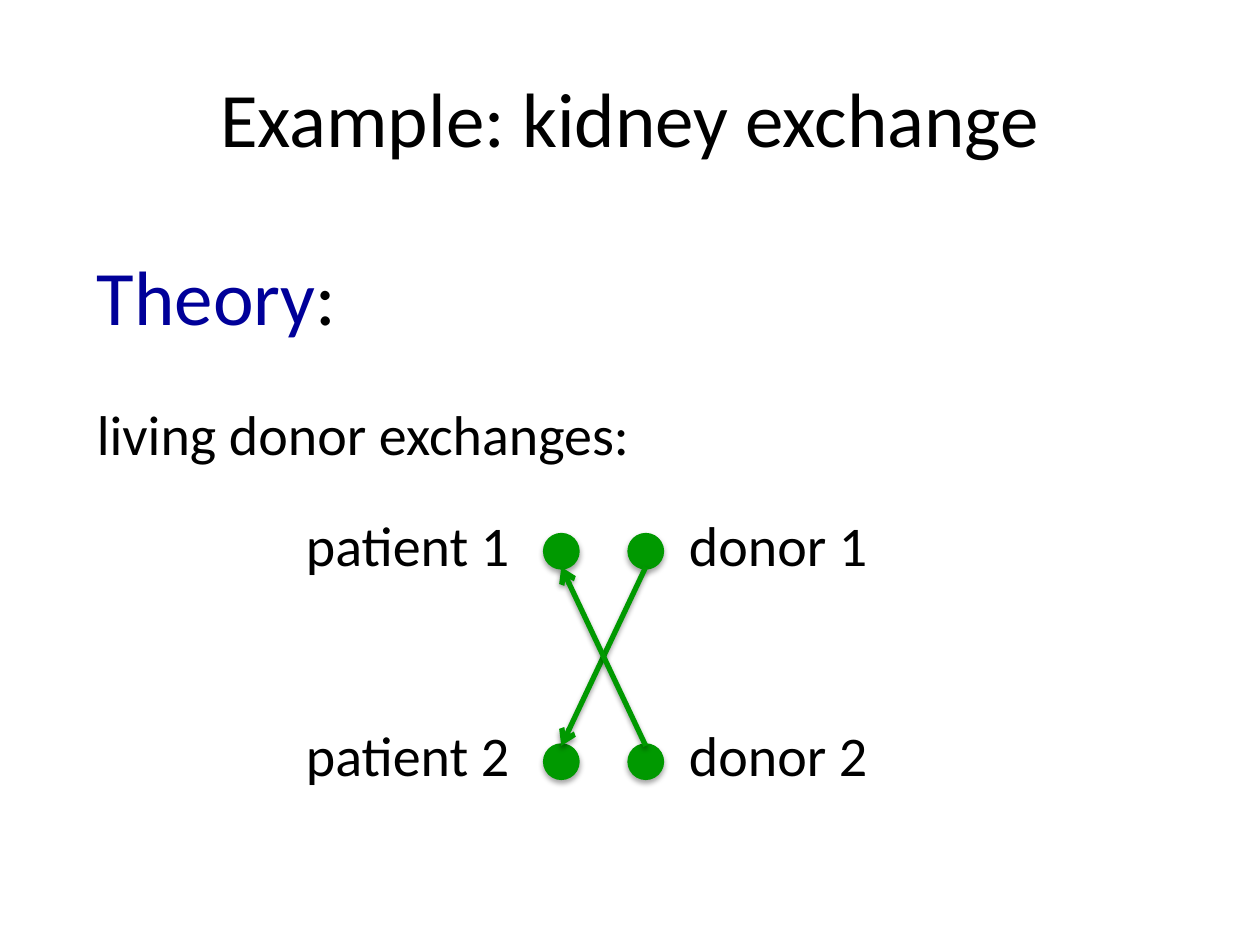
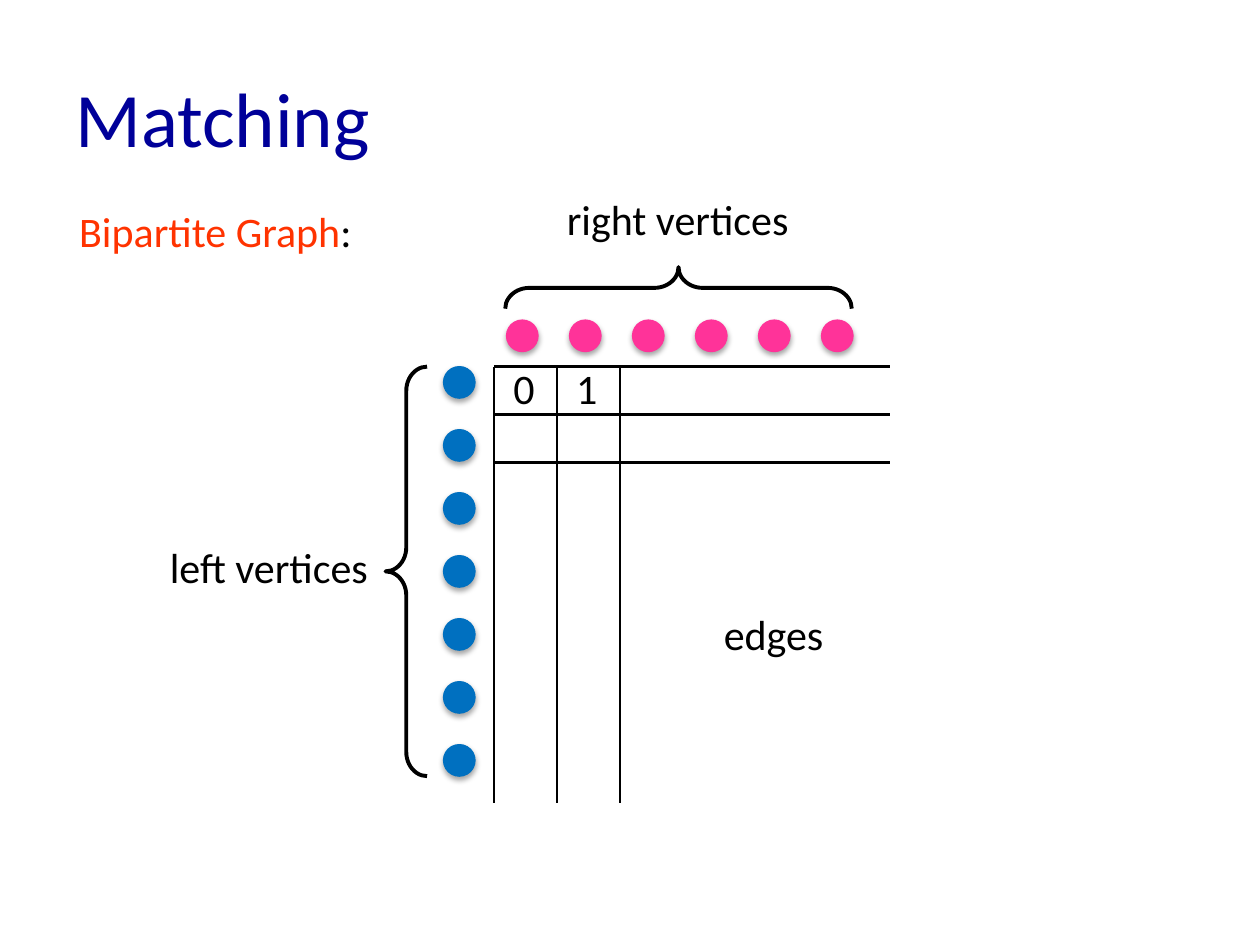
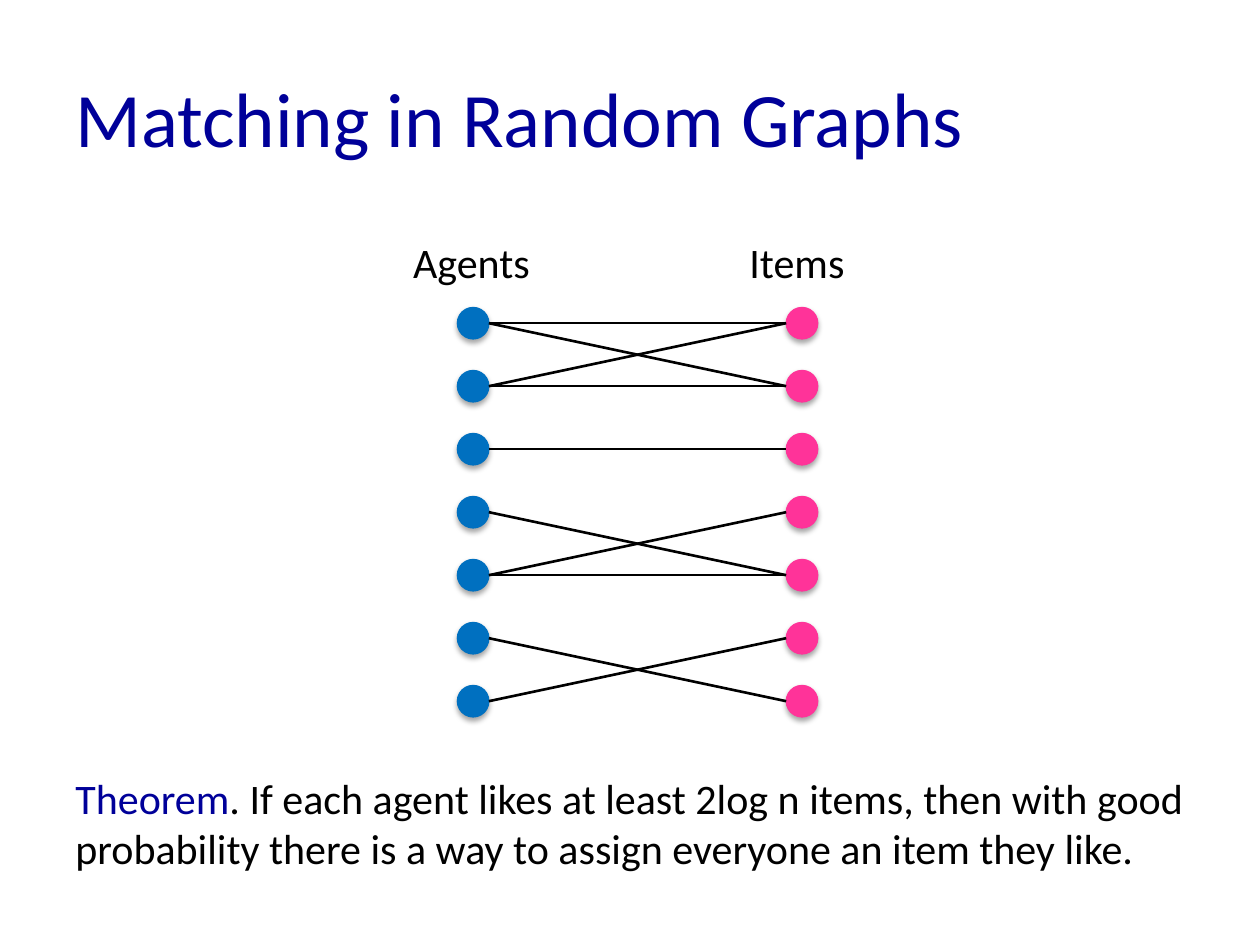
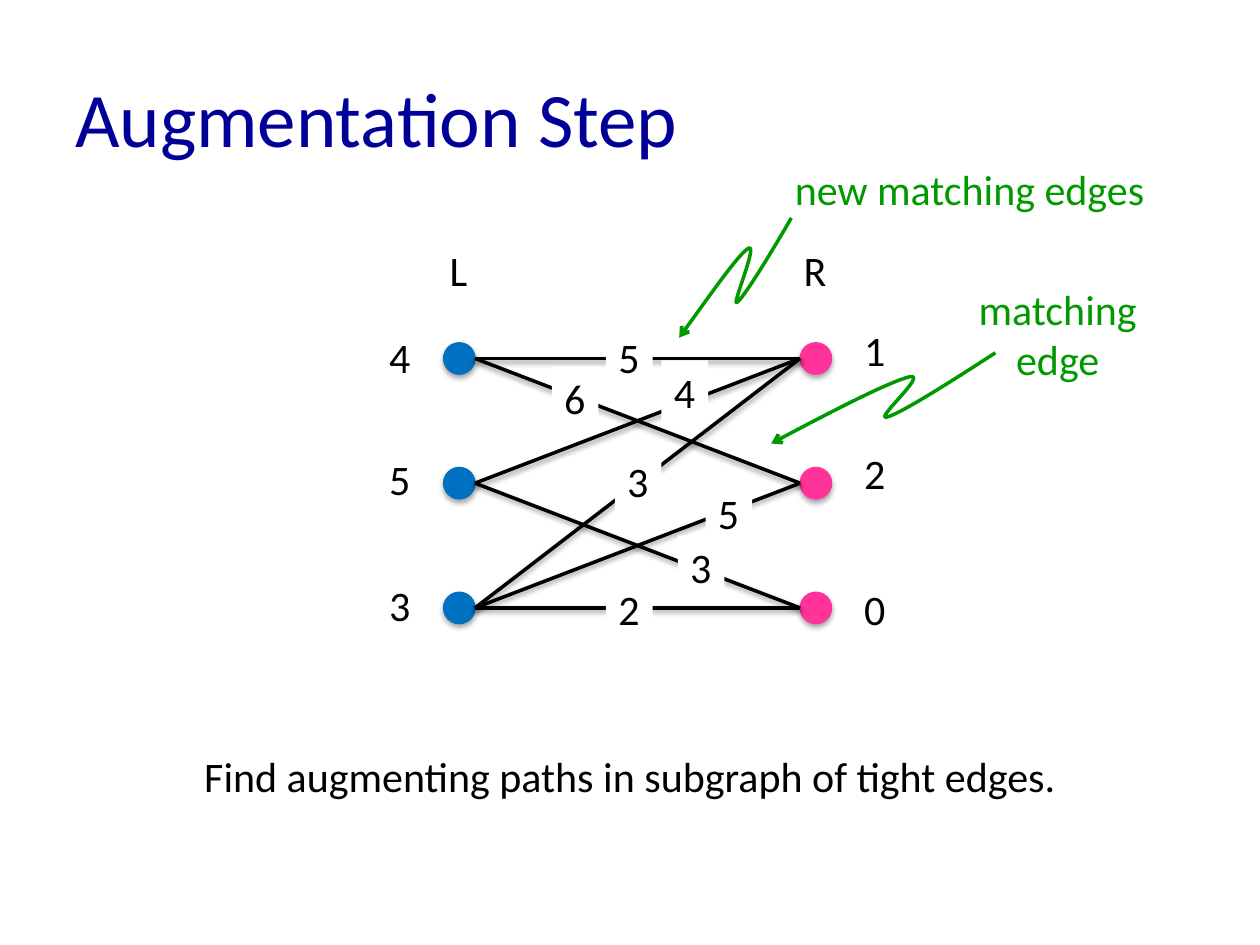
import lxml.etree
import pptx
import pptx.dml.color
import pptx.enum.shapes
import pptx.enum.text
import pptx.oxml.ns
import pptx.util

COLOURS = {
    "ink": "000000",
    "paper": "FFFFFF",
    "heading": "000099",
    "highlight": "FF3300",
    "exchange": "009900",
    "left": "0070C0",
    "right": "FF3399",
}
FONT = "Calibri"
DOT = 0.5
DOT_SHADOW = (35, 1.8)
EDGE_SHADOW = (38, 1.6)
OVAL = pptx.enum.shapes.MSO_SHAPE.OVAL
BRACE = pptx.enum.shapes.MSO_SHAPE.LEFT_BRACE
CENTER = pptx.enum.text.PP_ALIGN.CENTER
LEFT = pptx.enum.text.PP_ALIGN.LEFT
qn = pptx.oxml.ns.qn

deck = pptx.Presentation()
deck.slide_width = pptx.util.Inches(10)
deck.slide_height = pptx.util.Inches(7.5)
cell = deck.slide_width // 20


def write(slide, box, runs, size=24, align=LEFT, wrap=False, fill=None, middle=False):
    label = slide.shapes.add_textbox(*[int(cell * length) for length in box])
    if fill:
        label.fill.solid()
        label.fill.fore_color.rgb = pptx.dml.color.RGBColor.from_string(COLOURS[fill])
    frame = label.text_frame
    frame.word_wrap = wrap
    if middle:
        frame.vertical_anchor = pptx.enum.text.MSO_ANCHOR.MIDDLE
    paragraph = frame.paragraphs[0]
    paragraph.alignment = align
    paragraph.font.name = FONT
    paragraph.font.size = pptx.util.Pt(size)
    for words, colour in runs:
        run = paragraph.add_run()
        run.text = words
        font = paragraph.font if len(runs) == 1 else run.font
        font.color.rgb = pptx.dml.color.RGBColor.from_string(COLOURS[colour])


def draw(slide, outline, lengths, colour, width, fill=None, shadow=None, arrow=False):
    emu = [int(cell * length) for length in lengths]
    if outline == "line":
        straight = pptx.enum.shapes.MSO_CONNECTOR.STRAIGHT
        shape = slide.shapes.add_connector(straight, *emu)
    elif outline == "curve":
        points = list(zip(emu[::2], emu[1::2]))
        builder = slide.shapes.build_freeform(*points[0])
        builder.add_line_segments(points[1:], close=False)
        shape = builder.convert_to_shape()
        route = shape._element.find(".//" + qn("a:path"))
        steps = route.findall(qn("a:lnTo"))
        for first in range(0, len(steps), 3):
            bend = lxml.etree.SubElement(route, qn("a:cubicBezTo"))
            for step in steps[first:first + 3]:
                bend.append(step[0])
                route.remove(step)
    else:
        shape = slide.shapes.add_shape(outline, *emu)
    if fill:
        shape.fill.solid()
        shape.fill.fore_color.rgb = pptx.dml.color.RGBColor.from_string(COLOURS[fill])
    elif outline != "line":
        shape.fill.background()
    shape.line.color.rgb = pptx.dml.color.RGBColor.from_string(COLOURS[colour])
    shape.line.width = pptx.util.Pt(width)
    properties = shape._element.spPr
    if arrow:
        lxml.etree.SubElement(properties.find(qn("a:ln")), qn("a:tailEnd"), type="arrow")
    effects = lxml.etree.SubElement(properties, qn("a:effectLst"))
    if shadow:
        opacity, distance = shadow
        outer = lxml.etree.SubElement(
            effects, qn("a:outerShdw"), blurRad=str(pptx.util.Pt(3.1)),
            dist=str(pptx.util.Pt(distance)), dir="5400000", rotWithShape="0")
        tint = lxml.etree.SubElement(outer, qn("a:srgbClr"), val=COLOURS["ink"])
        lxml.etree.SubElement(tint, qn("a:alpha"), val=str(opacity * 1000))
    return shape


titles = [
    ("Example: kidney exchange", "ink", CENTER),
    ("Matching", "heading", LEFT),
    ("Matching in Random Graphs", "heading", LEFT),
    ("Augmentation Step", "heading", LEFT),
]
slides = []
for title, colour, align in titles:
    slide = deck.slides.add_slide(deck.slide_layouts[6])
    write(slide, (1, 0.6, 18, 2.5), [(title, colour)], 44, align, True, middle=True)
    slides.append(slide)
kidney, matching, random_graphs, augmentation = slides

write(kidney, (1.34, 3.84, 4.24, 1.68), [("Theory", "heading"), (":", "ink")], 44)
write(kidney, (1.34, 6.24, 17.66, 1.28), [("living donor exchanges:", "ink")], 32, wrap=True)
patient_column, donor_column = 8.66, 10
pair_rows = [8.5, 11.84]
for number, row in enumerate(pair_rows, 1):
    for column in (patient_column, donor_column):
        draw(kidney, OVAL, (column, row, DOT, DOT), "exchange", 3, "exchange", DOT_SHADOW)
    write(kidney, (4.66, row - 0.5, 3.68, 1.28), [(f"patient {number}", "ink")], 32)
    write(kidney, (10.74, row - 0.5, 3.26, 1.28), [(f"donor {number}", "ink")], 32)
upper, lower = pair_rows[0] + DOT, pair_rows[1]
for start, end in ((upper, lower), (lower, upper)):
    draw(kidney, "line", (donor_column + DOT / 2, start, patient_column + DOT / 2, end),
         "exchange", 3, shadow=EDGE_SHADOW, arrow=True)

matrix_left, matrix_top = 7.84, 5.82
for row in range(7):
    draw(matching, OVAL, (7.04, matrix_top + row, DOT, DOT), "left", 0.75, "left", DOT_SHADOW)
for column in range(6):
    draw(matching, OVAL, (8.04 + column, 5.08, DOT, DOT), "right", 0.75, "right", DOT_SHADOW)
for box, turn in (((6.12, matrix_top, 0.66, 6.5), 0), ((10.44, 1.82, 0.66, 5.5), 90)):
    brace = draw(matching, BRACE, box, "ink", 2.25)
    brace.adjustments[0] = 0.58
    brace.rotation = turn
for step in range(3):
    x, y = matrix_left + step, matrix_top + 0.76 * step
    draw(matching, "line", (x, matrix_top, x, 12.75), "ink", 1.5)
    draw(matching, "line", (matrix_left, y, 14.12, y), "ink", 1.5)
for column, entry in enumerate("01"):
    write(matching, (7.95 + column, 5.66, 0.76, 1), [(entry, "ink")], wrap=True)
write(matching, (2.5, 8.5, 3.6, 1), [("left vertices", "ink")])
write(matching, (8.8, 2.98, 3.96, 1), [("right vertices", "ink")])
write(matching, (11.28, 9.56, 2, 1), [("edges", "ink")], align=CENTER)
write(matching, (1.06, 3.16, 4.78, 1), [("Bipartite Graph", "highlight"), (":", "ink")])

agent_column, item_column, first_row = 7.26, 12.48, 4.88
for side, column in (("left", agent_column), ("right", item_column)):
    for row in range(7):
        draw(random_graphs, OVAL, (column, first_row + row, DOT, DOT),
             side, 0.75, side, DOT_SHADOW)
likes = [(0, 0), (0, 1), (1, 0), (1, 1), (2, 2), (3, 4), (4, 3), (4, 4), (5, 6), (6, 5)]
for agent, item in likes:
    draw(random_graphs, "line",
         (agent_column + DOT, first_row + DOT / 2 + agent,
          item_column, first_row + DOT / 2 + item), "ink", 1.5)
write(random_graphs, (6.36, 3.66, 2.28, 1), [("Agents", "ink")])
write(random_graphs, (11.7, 3.66, 1.92, 1), [("Items", "ink")])
write(random_graphs, (1, 12.16, 18, 1.82), [
    ("Theorem", "heading"),
    (". If each agent likes at least 2log n items, then with good probability "
     "there is a way to assign everyone an item they like.", "ink"),
], wrap=True)

left_column, right_column, first_row, pitch = 7.04, 12.7, 5.44, 1.98
for side, column in (("left", left_column), ("right", right_column)):
    for row in range(3):
        draw(augmentation, OVAL, (column, first_row + pitch * row, DOT, DOT),
             side, 0.75, side, DOT_SHADOW)
weighted_edges = [
    (0, 0, "5", 9.62, 5.16),
    (0, 1, "6", 8.76, 5.82),
    (1, 0, "4", 10.5, 5.72),
    (1, 2, "3", 10.76, 8.5),
    (2, 0, "3", 9.76, 7.14),
    (2, 1, "5", 11.2, 7.64),
    (2, 2, "2", 9.62, 9.16),
]
for start, end, *_ in weighted_edges:
    draw(augmentation, "line",
         (left_column + DOT, first_row + DOT / 2 + pitch * start,
          right_column, first_row + DOT / 2 + pitch * end), "ink", 2, shadow=EDGE_SHADOW)
for _, _, weight, x, y in weighted_edges:
    write(augmentation, (x, y, 0.74, 1), [(weight, "ink")], fill="paper")
vertex_values = [
    (5.98, [("4", 5.16), ("5", 7.1), ("3", 9.1)]),
    (13.52, [("1", 5.06), ("2", 7), ("0", 9.16)]),
]
for column, values in vertex_values:
    for value, y in values:
        write(augmentation, (column, y, 0.74, 1), [(value, "ink")])
write(augmentation, (6.94, 3.78, 0.68, 1), [("L", "ink")])
write(augmentation, (12.56, 3.78, 0.76, 1), [("R", "ink")])
callouts = [
    ("matching edge", (15.16, 4.4, 3.26, 1.82),
     (15.8, 5.6, 15.06, 6.08, 14.3, 6.56, 14.08, 6.62, 13.86, 6.68,
      14.74, 5.92, 14.44, 5.98, 14.12, 6.06, 13.18, 6.54, 12.24, 7.04)),
    ("new matching edges", (12.34, 2.5, 6.1, 1),
     (12.56, 3.46, 12.2, 4.08, 11.82, 4.7, 11.7, 4.8, 11.6, 4.88,
      12.04, 3.86, 11.88, 3.94, 11.72, 4.04, 11.26, 4.7, 10.78, 5.36)),
]
for words, box, squiggle in callouts:
    draw(augmentation, "curve", squiggle, "exchange", 2, arrow=True)
    write(augmentation, box, [(words, "exchange")], align=CENTER, wrap=True)
write(augmentation, (1, 11.82, 18, 1),
      [("Find augmenting paths in subgraph of tight edges.", "ink")], align=CENTER, wrap=True)

deck.save("out.pptx")
